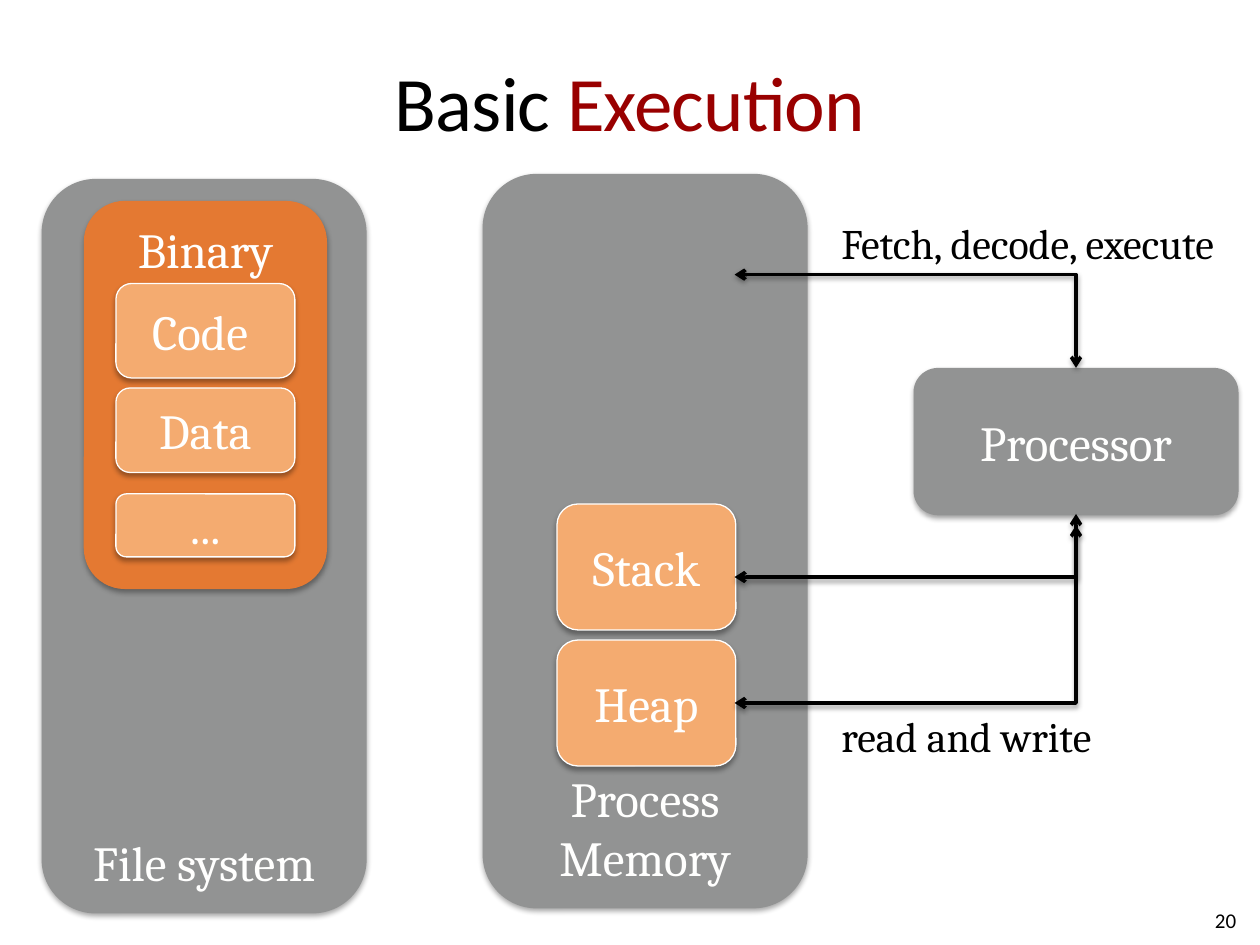
"""Build the Basic Execution slide: file system, process memory and processor."""
import pptx
import pptx.dml.color
import pptx.enum.dml
import pptx.enum.shapes
import pptx.enum.text
import pptx.oxml
import pptx.oxml.ns
import pptx.util

Inches = pptx.util.Inches
Pt = pptx.util.Pt
RGBColor = pptx.dml.color.RGBColor
Anchor = pptx.enum.text.MSO_ANCHOR
Align = pptx.enum.text.PP_ALIGN

GRAY = RGBColor(0x92, 0x93, 0x93)
ORANGE = RGBColor(0xE4, 0x79, 0x32)
PEACH = RGBColor(0xF4, 0xAB, 0x70)
WHITE = RGBColor(0xFF, 0xFF, 0xFE)
BLACK = RGBColor(0, 0, 0)
RED = RGBColor(0x99, 0, 0)
NAMESPACE = pptx.oxml.ns.nsdecls("a")


def add_run(paragraph, text, size, font, color):
    run = paragraph.add_run()
    run.text = text
    run.font.size = Pt(size)
    run.font.name = font
    run.font.color.rgb = color
    return run


def add_shadow(shape, opacity, distance):
    properties = shape._element.spPr
    for effects in properties.findall(pptx.oxml.ns.qn("a:effectLst")):
        properties.remove(effects)
    properties.append(pptx.oxml.parse_xml(
        f'<a:effectLst {NAMESPACE}><a:outerShdw blurRad="{Pt(3.1)}" dist="{Pt(distance)}" '
        f'dir="5400000" rotWithShape="0"><a:srgbClr val="000000">'
        f'<a:alpha val="{opacity * 1000}"/></a:srgbClr></a:outerShdw></a:effectLst>'))


presentation = pptx.Presentation()
presentation.slide_width = Inches(10)
presentation.slide_height = Inches(7.5)
slide = presentation.slides.add_slide(presentation.slide_layouts[6])

boxes = [
    ("Process\nMemory", 3.83, 1.38, 2.58, 5.83, GRAY, None, Anchor.BOTTOM),
    ("File system", 0.33, 1.42, 2.58, 5.83, GRAY, None, Anchor.BOTTOM),
    ("Binary", 0.67, 1.6, 1.92, 3.07, ORANGE, ORANGE, Anchor.TOP),
    ("Code ", 0.92, 2.25, 1.42, 0.75, PEACH, WHITE, Anchor.MIDDLE),
    ("Data", 0.92, 3.08, 1.42, 0.67, PEACH, WHITE, Anchor.MIDDLE),
    ("...", 0.92, 3.92, 1.42, 0.5, PEACH, WHITE, Anchor.MIDDLE),
    ("Stack", 4.42, 4, 1.42, 1, PEACH, WHITE, Anchor.MIDDLE),
    ("Heap", 4.42, 5.08, 1.42, 1, PEACH, WHITE, Anchor.MIDDLE),
    ("Processor", 7.25, 2.92, 2.58, 1.17, GRAY, None, Anchor.MIDDLE),
]
for label, left, top, width, height, fill, outline, anchor in boxes:
    box = slide.shapes.add_shape(
        pptx.enum.shapes.MSO_SHAPE.ROUNDED_RECTANGLE,
        Inches(left), Inches(top), Inches(width), Inches(height))
    box.fill.solid()
    box.fill.fore_color.rgb = fill
    if outline is None:
        box.line.fill.background()
    else:
        box.line.color.rgb = outline
        box.line.width = Pt(0.75)
    box.shadow.inherit = False
    add_shadow(box, 35, 1.8)
    box.text_frame.vertical_anchor = anchor
    paragraph = box.text_frame.paragraphs[0]
    paragraph.alignment = Align.CENTER
    for index, line in enumerate(label.split("\n")):
        if index:
            paragraph.add_line_break()
        add_run(paragraph, line, 28, "Cambria", WHITE)

for start_y, end_y in [(2.18, 2.92), (4.58, 4.17), (5.58, 4.08)]:
    arrow = slide.shapes.add_connector(
        pptx.enum.shapes.MSO_CONNECTOR.ELBOW,
        Inches(5.83), Inches(start_y), Inches(8.54), Inches(end_y))
    arrow._element.spPr.find(pptx.oxml.ns.qn("a:prstGeom")).set("prst", "bentConnector2")
    arrow.line.color.rgb = BLACK
    arrow.line.width = Pt(2)
    for end in ("headEnd", "tailEnd"):
        arrow.line._get_or_add_ln().append(
            pptx.oxml.parse_xml(f'<a:{end} {NAMESPACE} type="arrow"/>'))
    add_shadow(arrow, 38, 1.6)

texts = [
    ([("Basic", BLACK), (" Execution", RED)], 0.5, 0.17, 9, 1.25, 44, "Calibri",
     Align.CENTER, Anchor.MIDDLE, True),
    ([("20", BLACK)], 7.58, 7.1, 2.33, 0.4, 12, "Calibri", Align.RIGHT, Anchor.MIDDLE, True),
    ([("Fetch, decode, execute", BLACK)], 6.58, 1.68, 3.41, 0.5, 24, "Cambria",
     Align.LEFT, Anchor.TOP, False),
    ([("read and write", BLACK)], 6.58, 5.59, 2.31, 0.5, 24, "Cambria",
     Align.LEFT, Anchor.TOP, False),
]
for runs, left, top, width, height, size, font, alignment, anchor, wrap in texts:
    textbox = slide.shapes.add_textbox(Inches(left), Inches(top), Inches(width), Inches(height))
    frame = textbox.text_frame
    frame.word_wrap = wrap
    frame.vertical_anchor = anchor
    paragraph = frame.paragraphs[0]
    paragraph.alignment = alignment
    for text, color in runs:
        run = add_run(paragraph, text, size, font, color)
        if size == 44:
            frame.margin_left = frame.margin_right = 0
            run._r.get_or_add_rPr().set("spc", "-50")

presentation.save("out.pptx")
